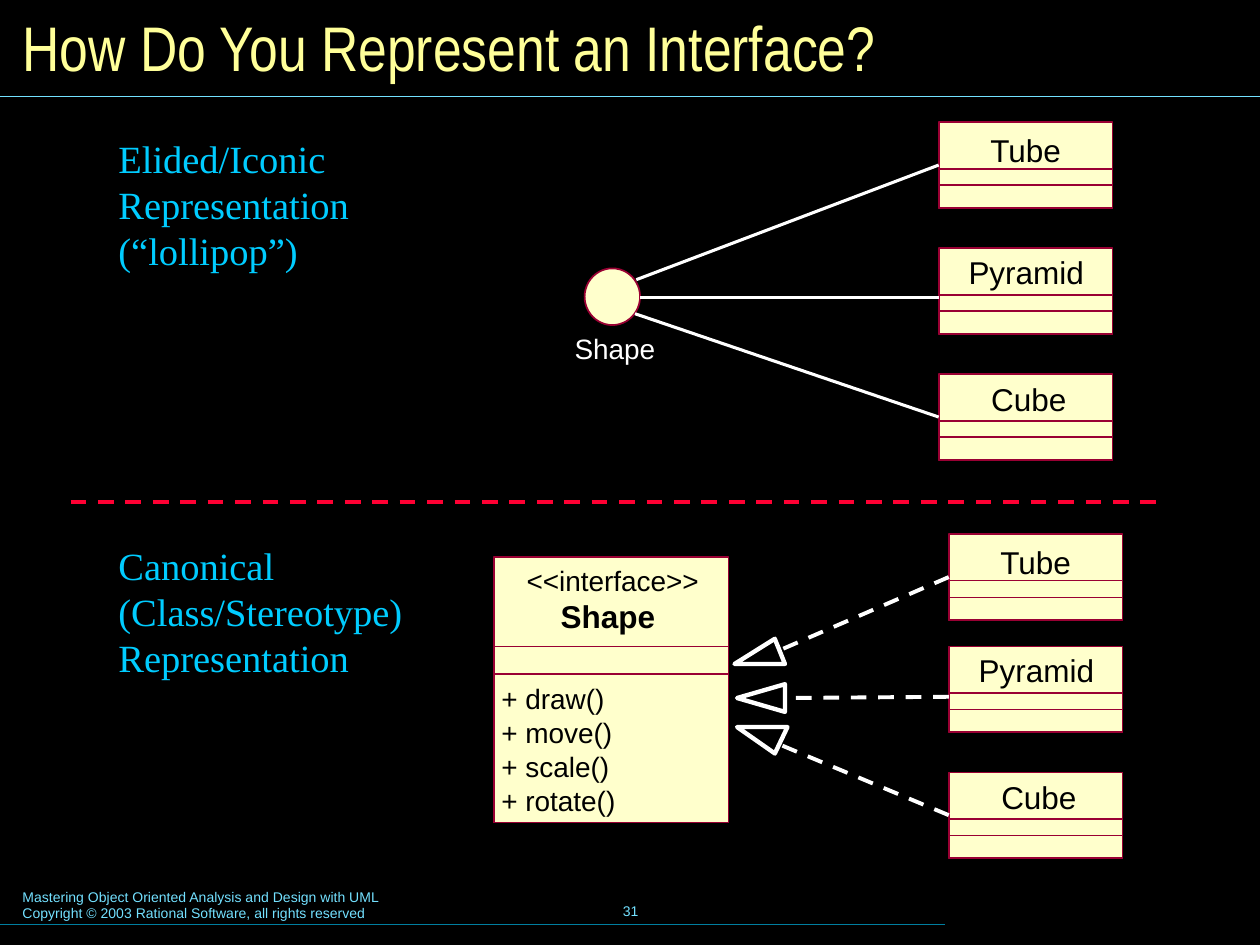
from lxml.etree import SubElement
from pptx import Presentation
from pptx.dml.color import RGBColor
from pptx.enum.dml import MSO_LINE
from pptx.enum.shapes import MSO_CONNECTOR, MSO_SHAPE
from pptx.enum.text import MSO_ANCHOR as Anchor, PP_ALIGN as Align
from pptx.oxml.ns import qn
from pptx.util import Inches, Pt

THEME = {
    "colour": {name: RGBColor.from_string(value) for name, value in {
        "background": "000000", "paper": "FFFFCC", "border": "990033",
        "white": "FFFFFF", "black": "000000", "title": "FFFF99",
        "heading": "00CCFF", "rule": "73E1FF", "foot rule": "007E9F",
        "divider": "FF0033"}.items()},
    # style: colour, font, paragraph and frame values
    "text": {
        "title": ("title", {"name": "Arial Narrow", "size": Pt(36)},
                  {"alignment": Align.LEFT}, {"vertical_anchor": Anchor.MIDDLE}),
        "heading": ("heading", {"name": "Times New Roman", "size": Pt(22)}, {},
                    dict(margin_left=Inches(0.12), margin_right=Inches(0.12),
                         margin_top=Inches(0.06), margin_bottom=Inches(0.06))),
        "footer": ("rule", {"name": "Arial", "size": Pt(8)}, {}, {}),
        "number": ("rule", {"name": "Arial", "size": Pt(8)},
                   {"alignment": Align.CENTER}, {"vertical_anchor": Anchor.MIDDLE}),
        "class": ("black", {"name": "Arial", "size": Pt(18)},
                  {"alignment": Align.CENTER}, {}),
        "interface": ("black", {"name": "Arial", "size": Pt(18), "bold": True}, {}, {}),
        "member": ("black", {"name": "Arial", "size": Pt(16)}, {}, {}),
        "icon": ("white", {"name": "Arial", "size": Pt(16)}, {}, {}),
    },
}
COLOUR = THEME["colour"]
MARGINS = ("margin_left", "margin_top", "margin_right", "margin_bottom")

presentation = Presentation()
presentation.slide_width, presentation.slide_height = Inches(10), Inches(7.5)
slide = presentation.slides.add_slide(presentation.slide_layouts[5])
slide.background.fill.solid()
slide.background.fill.fore_color.rgb = COLOUR["background"]
cell = presentation.slide_width / 100  # grid of 100 columns by 75 rows


def grid(*counts):
    """Turn columns and rows into slide lengths."""
    return [round(count * cell) for count in counts]


def write(shape, text, style):
    """Fill a text shape and format it in a theme style."""
    colour, font, layout, frame_values = THEME["text"][style]
    frame = shape.text_frame
    frame.text = text
    frame.word_wrap = True
    if style in ("class", "interface", "member", "icon"):
        frame_values = dict.fromkeys(MARGINS, 0)
    for name, value in frame_values.items():
        setattr(frame, name, value)
    for paragraph in frame.paragraphs:
        for name, value in layout.items():
            setattr(paragraph, name, value)
        for name, value in font.items():
            setattr(paragraph.font, name, value)
        paragraph.font.color.rgb = COLOUR[colour]


# Title
title = slide.shapes.title
title.left, title.top, title.width, title.height = grid(0.8, 0.8, 98.4, 5.8)
write(title, "How Do You Represent an Interface?", "title")

# Outlined parts: name, preset, place, filled, line width
rectangle = MSO_SHAPE.RECTANGLE
parts = [("lollipop", MSO_SHAPE.OVAL, (46.4, 21.3, 4.4, 4.5), True, 1)]
# Texts: wording, style, place
texts = [
    ("Elided/Iconic Representation\v(“lollipop”)", "heading", (8.2, 10.1, 25.8, 12.2)),
    ("Canonical (Class/Stereotype) Representation", "heading", (8.2, 42.4, 27.5, 12.2)),
    ("Mastering Object Oriented Analysis and Design with UML\n"
     "Copyright © 2003 Rational Software, all rights reserved",
     "footer", (0.8, 70, 51, 3.7)),
    ("31", "number", (34.2, 69.8, 31.7, 5)),
    ("Shape", "icon", (45.6, 26.3, 7.2, 2.7)),
    ("<<interface>>", "member", (41.8, 44.7, 15, 2.7)),
    ("Shape", "interface", (44.5, 47.4, 8.5, 3)),
]
for row, member in enumerate(("draw", "move", "scale", "rotate")):
    texts.append((f"+ {member}()", "member", (39.8, 54.1 + 2.7 * row, 11, 2.7)))

# Class boxes: each compartment reaches down to the bottom edge
labels = {"Tube": (0.9, 0.7, 12), "Pyramid": (1.4, 0.4, 11.1), "Cube": (1.25, 0.45, 11.8)}
class_size, class_steps = (13.8, 6.8), (3.7, 5)
boxes = [("interface", 39.2, 44.2, (18.6, 21.1), (7.1, 9.3), 0, 0)]
for view, left, tops in (("iconic", 74.5, (9.7, 19.7, 29.7)),
                         ("canonical", 75.3, (42.4, 51.3, 61.3))):
    for (label, (indent, drop, width)), top in zip(labels.items(), tops):
        inner = 0 if (view, label) == ("canonical", "Tube") else 1
        boxes.append((f"{view} {label}", left, top, class_size, class_steps, 1, inner))
        texts.append((label, "class", (left + indent, top + drop, width, 3)))
for name, left, top, (width, height), steps, outer, inner in boxes:
    parts.append((name, rectangle, (left, top, width, height), True, outer))
    for step in steps:
        place = (left, top + step, width, height - step)
        parts.append((f"{name} {step}", rectangle, place, False, inner))

shapes = {}
for name, preset, place, filled, weight in parts:
    shape = shapes[name] = slide.shapes.add_shape(preset, *grid(*place))
    shape.shadow.inherit = False
    if filled:
        shape.fill.solid()
        shape.fill.fore_color.rgb = COLOUR["paper"]
    else:
        shape.fill.background()
    shape.line.color.rgb = COLOUR["border"]
    shape.line.width = Pt(weight)

for text, style, place in texts:
    write(slide.shapes.add_textbox(*grid(*place)), text, style)

# Lines: ends, colour, width, dashed, class box joined at its left side
lines = [
    ((0, 73.35, 75, 73.35), "foot rule", 0.75, False, None),
    ((0, 7.65, 100, 7.65), "rule", 0.75, False, None),
    ((5.6, 39.85, 91.8, 39.85), "divider", 2.25, True, None),
    ((74.5, 13.1, 50.5, 22.2), "white", 1.75, False, "iconic Tube"),
    ((74.5, 23.6, 50.8, 23.6), "white", 1.75, False, None),
    ((74.5, 33.1, 50.4, 24.9), "white", 1.75, False, "iconic Cube"),
    ((75.3, 45.8, 61.9, 51.6), "white", 2.25, True, "canonical Tube"),
    ((75.3, 55.3, 62.3, 55.4), "white", 2.25, True, None),
    ((75.3, 64.7, 61.9, 59.1), "white", 2.25, True, "canonical Cube"),
]
for ends, colour, weight, dashed, joined in lines:
    connector = slide.shapes.add_connector(MSO_CONNECTOR.STRAIGHT, *grid(*ends))
    connector.line.color.rgb = COLOUR[colour]
    connector.line.width = Pt(weight)
    if dashed:
        connector.line.dash_style = MSO_LINE.DASH
    if joined:
        connector.begin_connect(shapes[joined], 1)
    SubElement(connector._element.spPr, qn("a:effectLst"))

# Hollow realization arrowheads
for tip, *corners in (((58.3, 52.7), (62.3, 52.7), (61.5, 50.7)),
                      ((58.5, 55.4), (62.3, 54.3), (62.3, 56.5)),
                      ((58.5, 57.7), (62.5, 57.7), (61.5, 59.8))):
    builder = slide.shapes.build_freeform(*grid(*tip))
    builder.add_line_segments([grid(*corner) for corner in corners], close=True)
    arrowhead = builder.convert_to_shape()
    arrowhead.shadow.inherit = False
    arrowhead.fill.background()
    arrowhead.line.color.rgb = COLOUR["white"]
    arrowhead.line.width = Pt(2.5)

presentation.save("out.pptx")
